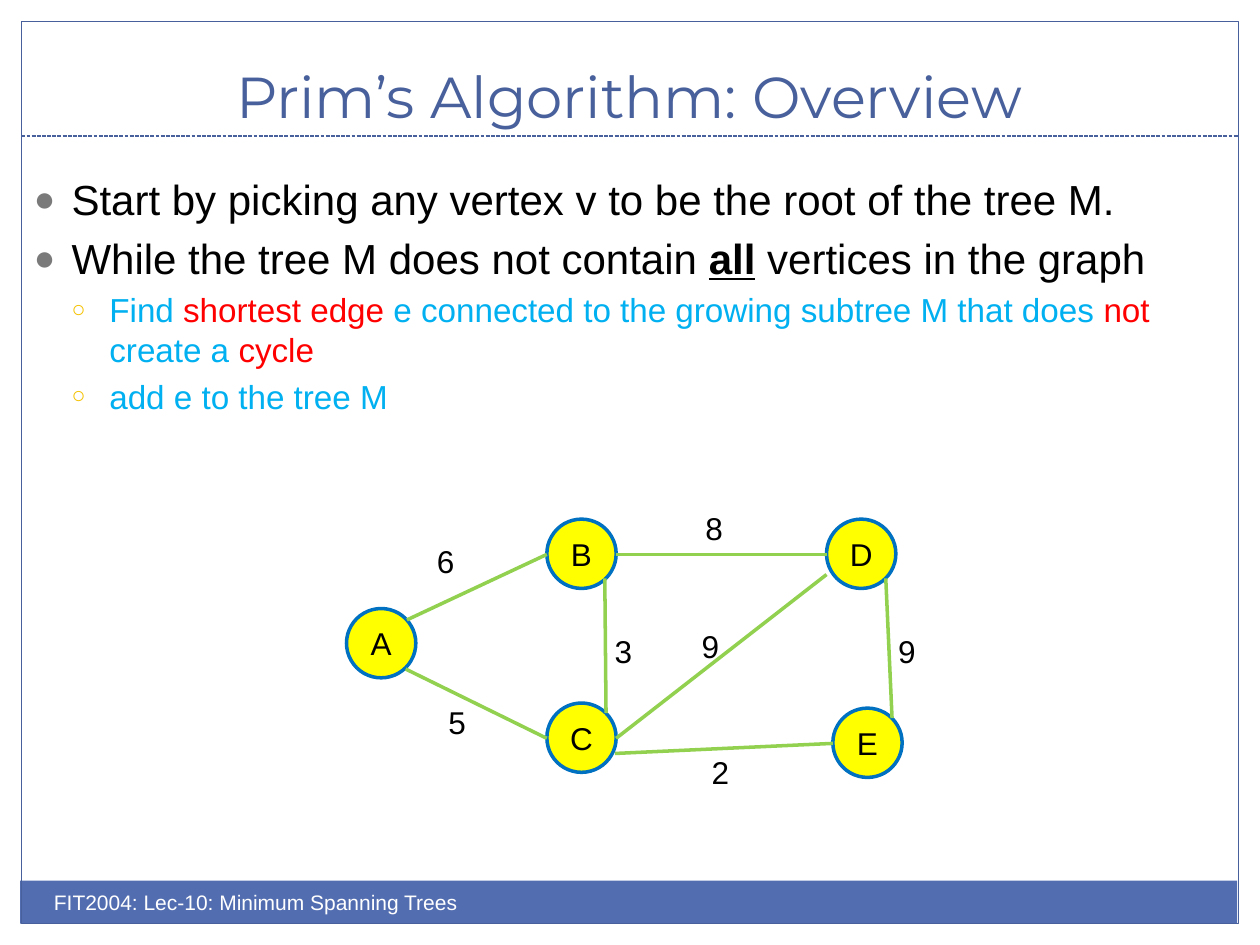
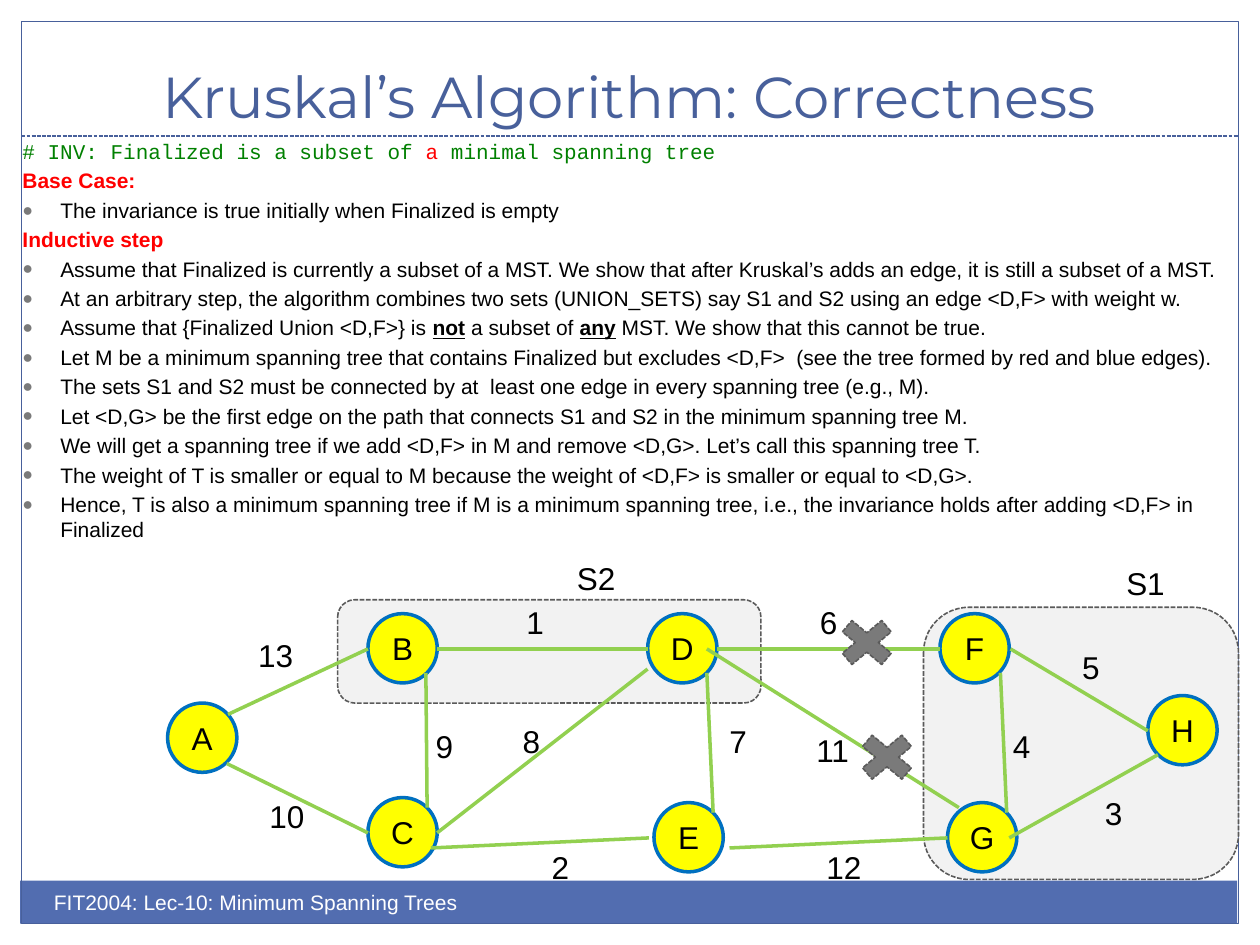
from lxml.etree import SubElement
from pptx import Presentation
from pptx.dml.color import RGBColor
from pptx.enum.dml import MSO_LINE_DASH_STYLE as DASH
from pptx.enum.shapes import MSO_CONNECTOR as CONNECTOR, MSO_SHAPE as SHAPE
from pptx.enum.text import MSO_ANCHOR as ANCHOR, PP_ALIGN as ALIGN
from pptx.oxml.ns import qn
from pptx.util import Inches, Pt

# Shared look
BLUE, BAND, BLACK, WHITE = "48609B", "526DB0", "000000", "FFFFFF"
RED, SKY, GREEN, GREY, GOLD = "FF0000", "00B0F0", "008000", "7A7A7A", "F5C201"
NODE_FILL, NODE_LINE, EDGE = "FFFF00", "0070C0", "92D050"
SET_FILL, SET_LINE = "F2F2F2", "5A5A5A"
FOOTER = "FIT2004: Lec-10: Minimum Spanning Trees"
NODE_SIZE = 0.55

# Bullet styles: character, colour, size in percent, left indent in inches
DOT = ("●", GREY, 85, 0.3)
RING = ("○", GOLD, 70, 0.6)

# Run formats
STRONG = dict(bold=True, underline=True)
HEADING = dict(color=RED, bold=True)
CODE = dict(font="Courier New", color=GREEN)
CODE_HOT = dict(font="Courier New", color=RED)
SUB = dict(size=19, color=SKY)
SUB_HOT = dict(size=19, color=RED)

# Body text: (bullet, runs), each run is text or (text, format)
OVERVIEW = [
    (DOT, ["Start by picking any vertex v to be the root of the tree M."]),
    (DOT, ["While the tree M does not contain ", ("all", STRONG),
           " vertices in the graph"]),
    (RING, [("Find ", SUB), ("shortest edge ", SUB_HOT),
            ("e connected to the growing subtree M that does ", SUB),
            ("not", SUB_HOT), (" create a ", SUB), ("cycle", SUB_HOT)]),
    (RING, [("add e to the tree M", SUB)]),
]
CORRECTNESS = [
    (None, [("# INV: Finalized is a subset of ", CODE), ("a", CODE_HOT),
            (" minimal spanning tree", CODE)]),
    (None, [("Base Case:", HEADING)]),
    (DOT, ["The invariance is true initially when Finalized is empty"]),
    (None, [("Inductive step", HEADING)]),
    (DOT, ["Assume that Finalized is currently a subset of a MST. We show that "
           "after Kruskal’s adds an edge, it is still a subset of a MST."]),
    (DOT, ["At an arbitrary step, the algorithm combines two sets (UNION_SETS) "
           "say S1 and S2 using an edge <D,F> with weight w."]),
    (DOT, ["Assume that {Finalized Union <D,F>} is ", ("not", STRONG),
           " a subset of ", ("any", STRONG),
           " MST. We show that this cannot be true."]),
    (DOT, ["Let M be a minimum spanning tree that contains Finalized but "
           "excludes <D,F>  (see the tree formed by red and blue edges)."]),
    (DOT, ["The sets S1 and S2 must be connected by at  least one edge in "
           "every spanning tree (e.g., M)."]),
    (DOT, ["Let <D,G> be the first edge on the path that connects S1 and S2 "
           "in the minimum spanning tree M."]),
    (DOT, ["We will get a spanning tree if we add <D,F> in M and remove <D,G>. "
           "Let’s call this spanning tree T."]),
    (DOT, ["The weight of T is smaller or equal to M because the weight of "
           "<D,F> is smaller or equal to <D,G>."]),
    (DOT, ["Hence, T is also a minimum spanning tree if M is a minimum spanning "
           "tree, i.e., the invariance holds after adding <D,F> in Finalized"]),
]

# Graph part that both slides show; the second slide shifts it
BASE_NODES = {"A": (2.75, 4.83), "B": (4.34, 4.12), "C": (4.34, 5.58),
              "D": (6.56, 4.12), "E": (6.61, 5.62)}
BASE_EDGES = [(3.23, 4.92, 4.34, 4.4), (3.22, 5.31, 4.34, 5.86),
              (4.89, 4.4, 6.56, 4.4), (7.08, 5.7, 7.03, 4.59),
              (4.89, 5.86, 6.56, 4.56), (4.81, 5.66, 4.8, 4.59)]
SHIFT = (-1.42, 0.75)

PRIM_EDGES = [(4.88, 5.98, 6.61, 5.9)]
PRIM_LABELS = [("6", 3.37, 4.25), ("5", 3.46, 5.53), ("3", 4.78, 4.97),
               ("8", 5.5, 3.99), ("9", 5.47, 4.93), ("2", 5.55, 5.93),
               ("9", 7.03, 4.97)]

KRUSKAL_NODES = {"F": (7.46, 4.87), "G": (7.52, 6.37), "H": (9.11, 5.52)}
KRUSKAL_EDGES = [(3.42, 6.73, 5.15, 6.65), (5.69, 5.15, 7.46, 5.15),
                 (7.99, 6.45, 7.94, 5.34), (5.61, 5.15, 7.61, 6.41),
                 (5.79, 6.73, 7.52, 6.65), (8.02, 5.15, 9.11, 5.8),
                 (8.01, 6.65, 9.19, 5.99)]
KRUSKAL_LABELS = [("13", 1.95, 5), ("10", 2.04, 6.28), ("9", 3.36, 5.72),
                  ("1", 4.08, 4.74), ("8", 4.05, 5.68), ("2", 4.28, 6.68),
                  ("7", 5.69, 5.68), ("6", 6.41, 4.74), ("11", 6.38, 5.75),
                  ("12", 6.46, 6.68), ("4", 7.94, 5.72), ("3", 8.67, 6.25),
                  ("5", 8.49, 5.09), ("S1", 8.84, 4.43), ("S2", 4.48, 4.39)]
SETS = [(7.33, 4.82, 2.5, 2.16), (2.68, 4.76, 3.36, 0.82)]
CROSSES = [(6.58, 4.85, 0.6, 0.5), (6.74, 5.76, 0.6, 0.5)]


def rgb(value):
    return RGBColor.from_string(value)


def inches(values):
    return [Inches(value) for value in values]


def set_line(line, color, width, dash=None):
    line.color.rgb = rgb(color)
    line.width = Pt(width)
    if dash:
        line.dash_style = dash


def add_shape(slide, kind, box, fill=None, line=None):
    shape = slide.shapes.add_shape(kind, *inches(box))
    shape.shadow.inherit = False
    if fill:
        shape.fill.solid()
        shape.fill.fore_color.rgb = rgb(fill)
    else:
        shape.fill.background()
    if line:
        set_line(shape.line, *line)
    else:
        shape.line.fill.background()
    return shape


def add_line(slide, ends, color, width, dash=None):
    connector = slide.shapes.add_connector(CONNECTOR.STRAIGHT, *inches(ends))
    set_line(connector.line, color, width, dash)
    SubElement(connector._element.spPr, qn("a:effectLst"))


def write(paragraph, text, size=18, font="Arial", color=BLACK, bold=False,
          underline=False, align=ALIGN.LEFT):
    paragraph.alignment = align
    run = paragraph.add_run()
    run.text = text
    run.font.size = Pt(size)
    run.font.name = font
    run.font.color.rgb = rgb(color)
    run.font.bold = bold
    run.font.underline = underline


def add_box(slide, box):
    shape = slide.shapes.add_textbox(*inches(box))
    shape.text_frame.word_wrap = True
    return shape.text_frame


def format_paragraph(paragraph, bullet):
    properties = paragraph._p.get_or_add_pPr()
    spacing = SubElement(properties, qn("a:spcBef"))
    SubElement(spacing, qn("a:spcPct"), val="20000")
    if bullet:
        character, color, percent, indent = bullet
        properties.set("marL", str(Inches(indent)))
        properties.set("indent", str(Inches(-0.3)))
        bullet_color = SubElement(properties, qn("a:buClr"))
        SubElement(bullet_color, qn("a:srgbClr"), val=color)
        SubElement(properties, qn("a:buSzPct"), val=str(percent * 1000))
        SubElement(properties, qn("a:buFont"), typeface="Arial")
        SubElement(properties, qn("a:buChar"), char=character)


def add_body(slide, box, content, size):
    frame = add_box(slide, box)
    for index, (bullet, runs) in enumerate(content):
        paragraph = frame.add_paragraph() if index else frame.paragraphs[0]
        format_paragraph(paragraph, bullet)
        for run in runs:
            text, style = (run, {}) if isinstance(run, str) else run
            write(paragraph, text, **{"size": size, **style})


def add_slide(title):
    """Blank slide with frame, footer band, rule and title."""
    slide = presentation.slides.add_slide(presentation.slide_layouts[6])
    add_shape(slide, SHAPE.RECTANGLE, (0.16, 6.99, 9.66, 0.34), fill=BAND)
    add_shape(slide, SHAPE.RECTANGLE, (0.17, 0.17, 9.66, 7.16),
              line=(BLUE, 0.75))
    add_line(slide, (0.17, 1.08, 9.83, 1.08), BLUE, 0.75, DASH.SQUARE_DOT)
    frame = add_box(slide, (0.33, 0.25, 9.33, 0.83))
    frame.vertical_anchor = ANCHOR.BOTTOM
    write(frame.paragraphs[0], title, size=33, font="Montserrat", color=BLUE,
          align=ALIGN.CENTER)
    footer = add_box(slide, (0.33, 7.01, 5, 0.4))
    write(footer.paragraphs[0], FOOTER, size=12, color=WHITE)
    return slide


def add_graph(slide, nodes, edges, labels):
    for name, (left, top) in nodes.items():
        node = add_shape(slide, SHAPE.OVAL, (left, top, NODE_SIZE, NODE_SIZE),
                         NODE_FILL, (NODE_LINE, 2))
        frame = node.text_frame
        frame.word_wrap = False
        frame.vertical_anchor = ANCHOR.MIDDLE
        frame.margin_left = frame.margin_right = 0
        frame.margin_top = frame.margin_bottom = 0
        write(frame.paragraphs[0], name, align=ALIGN.CENTER)
    for ends in edges:
        add_line(slide, ends, EDGE, 2)
    for text, left, top in labels:
        # No right margin, so that a capital and a digit fit on one line
        frame = add_box(slide, (left, top, 0.17 + 0.17 * len(text), 0.4))
        frame.margin_right = 0
        write(frame.paragraphs[0], text)


presentation = Presentation()
presentation.slide_width, presentation.slide_height = inches((10, 7.5))

# Slide 1: Prim
prim = add_slide("Prim’s Algorithm: Overview")
add_body(prim, (0.17, 1.33, 9.67, 5), OVERVIEW, 24)
add_graph(prim, BASE_NODES, BASE_EDGES + PRIM_EDGES, PRIM_LABELS)

# Slide 2: Kruskal, with the shared graph part shifted
kruskal = add_slide("Kruskal’s Algorithm: Correctness")
dash_line = (SET_LINE, 0.9, DASH.SQUARE_DOT)
for box in SETS:
    add_shape(kruskal, SHAPE.ROUNDED_RECTANGLE, box, SET_FILL, dash_line)
add_body(kruskal, (0.08, 1.05, 9.75, 5), CORRECTNESS, 12)
dx, dy = SHIFT
shifted_nodes = {name: (x + dx, y + dy) for name, (x, y) in BASE_NODES.items()}
shifted_edges = [(x1 + dx, y1 + dy, x2 + dx, y2 + dy)
                 for x1, y1, x2, y2 in BASE_EDGES]
add_graph(kruskal, {**shifted_nodes, **KRUSKAL_NODES},
          shifted_edges + KRUSKAL_EDGES, KRUSKAL_LABELS)
for box in CROSSES:
    add_shape(kruskal, SHAPE.MATH_MULTIPLY, box, GREY, dash_line)

presentation.save("out.pptx")
